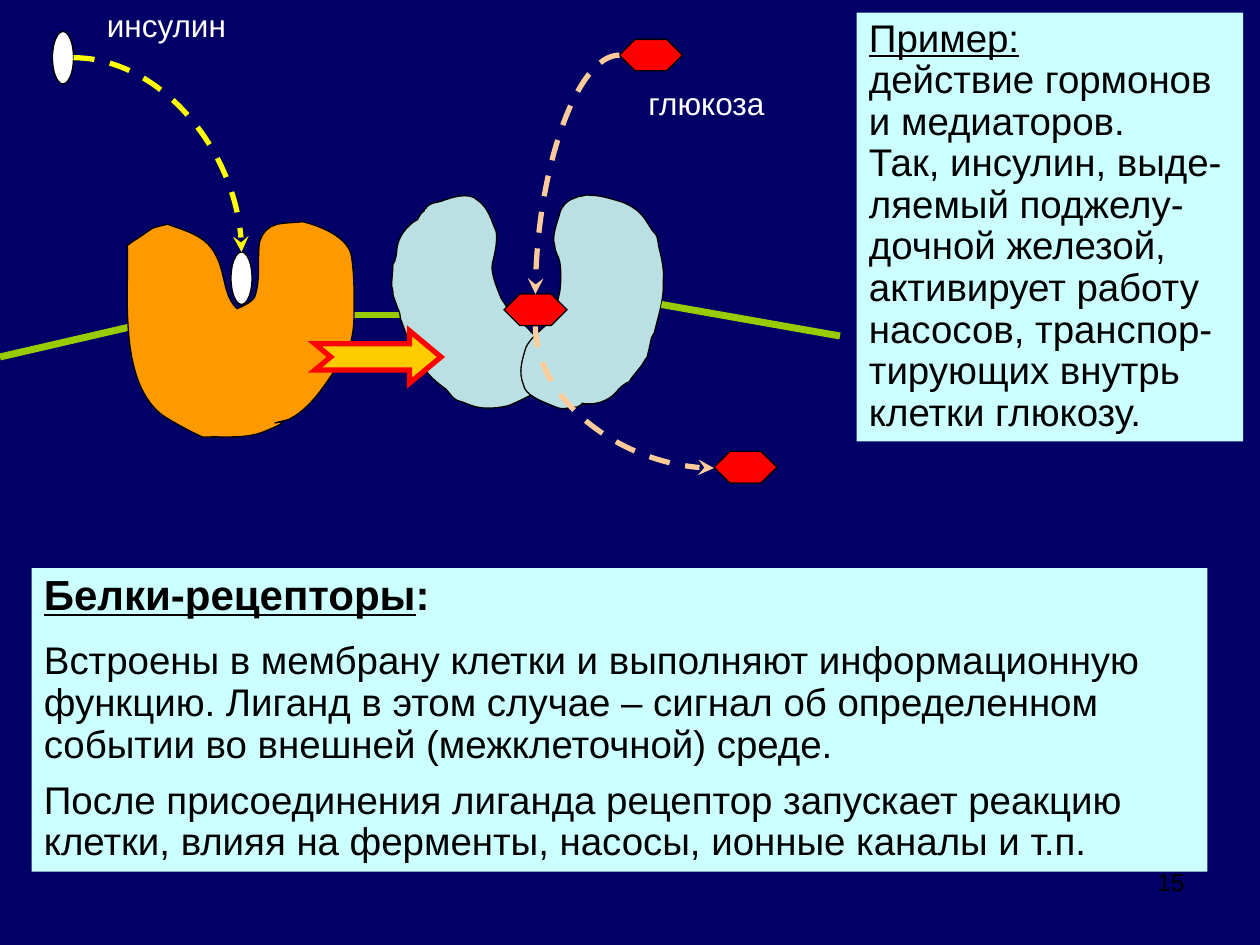
from math import cos, radians, sin

from lxml.etree import SubElement
from pptx import Presentation
from pptx.dml.color import RGBColor
from pptx.enum.dml import MSO_LINE
from pptx.enum.shapes import MSO_CONNECTOR, MSO_SHAPE
from pptx.enum.text import MSO_ANCHOR, PP_ALIGN
from pptx.oxml.ns import qn
from pptx.util import Pt

COLORS = {
    "background": "000066", "panel": "CCFFFF", "black": "000000",
    "white": "FFFFFF", "membrane": "99CC00", "receptor": "FF9900",
    "pump": "BBE0E3", "glucose": "FF0000", "signal": "FFCC00",
    "insulin_path": "FFFF00", "glucose_path": "FFCC99",
}

# Protein outlines in units of 0.72 pt: a start point,
# then one row per Bezier curve (two control points and an end point)
UNIT = Pt(0.72)
RECEPTOR = (101, 195), [
    (103, 227, 92, 305, 131, 331), (141, 337, 150, 342, 161, 347),
    (177, 346, 195, 349, 211, 342), (245, 328, 198, 341, 229, 333),
    (251, 322, 262, 297, 277, 278), (280, 264, 281, 263, 281, 243),
    (281, 230, 281, 217, 279, 204), (277, 188, 253, 179, 240, 176),
    (223, 178, 212, 175, 206, 192), (204, 207, 207, 223, 202, 236),
    (199, 241, 188, 245, 188, 245), (177, 234, 179, 218, 172, 204),
    (164, 187, 149, 184, 133, 178), (117, 182, 125, 179, 108, 190),
    (106, 191, 101, 195, 101, 195),
]
PUMP_LEFT = (332, 174), [
    (323, 179, 316, 188, 315, 198), (315, 201, 314, 208, 312, 210),
    (312, 216, 311, 221, 311, 227), (311, 229, 311, 230, 312, 232),
    (312, 233, 312, 234, 312, 234), (318, 252, 317, 245, 318, 253),
    (323, 266, 327, 280, 336, 291), (340, 298, 347, 304, 354, 309),
    (356, 311, 360, 317, 363, 318), (368, 319, 373, 322, 378, 323),
    (386, 325, 396, 324, 404, 322), (411, 319, 417, 316, 423, 313),
    (426, 311, 428, 308, 430, 307), (433, 302, 434, 301, 435, 295),
    (435, 292, 435, 290, 434, 287), (432, 282, 429, 268, 422, 264),
    (419, 260, 416, 258, 412, 255), (406, 250, 402, 243, 398, 237),
    (396, 232, 389, 217, 391, 209), (393, 201, 395, 192, 394, 184),
    (390, 175, 388, 165, 379, 159), (373, 152, 357, 157, 350, 160),
    (345, 161, 343, 161, 339, 164), (339, 165, 338, 166, 337, 166),
    (337, 167, 337, 168, 336, 168), (335, 169, 334, 170, 334, 170),
    (333, 173, 328, 177, 332, 174),
]
PUMP_RIGHT = (461, 321), [
    (471, 323, 482, 320, 489, 312), (491, 309, 496, 305, 499, 304),
    (502, 299, 506, 295, 509, 291), (510, 289, 511, 288, 512, 286),
    (512, 286, 513, 285, 513, 285), (518, 266, 515, 272, 519, 265),
    (522, 252, 527, 238, 526, 224), (527, 216, 525, 207, 523, 199),
    (522, 196, 522, 189, 520, 187), (516, 183, 514, 178, 511, 174),
    (506, 167, 497, 162, 489, 160), (482, 158, 475, 156, 468, 156),
    (465, 155, 462, 157, 459, 157), (454, 159, 452, 159, 448, 163),
    (446, 165, 445, 167, 444, 170), (443, 175, 437, 188, 440, 196),
    (440, 201, 443, 204, 444, 209), (445, 216, 445, 224, 444, 232),
    (443, 237, 440, 253, 434, 258), (428, 264, 420, 270, 417, 277),
    (414, 287, 411, 296, 415, 306), (416, 315, 431, 320, 438, 323),
    (443, 325, 445, 326, 450, 325), (451, 325, 452, 325, 453, 324),
    (453, 324, 454, 324, 454, 324), (455, 324, 458, 324, 458, 324),
    (460, 322, 466, 321, 461, 321),
]


def rgb(name):
    return RGBColor.from_string(COLORS[name])


def turn_back(points, angle, center):
    """Undo a clockwise turn about center, in tenths of a unit."""
    c, d = cos(radians(angle)), sin(radians(angle))
    cx, cy = center
    return [(10 * (cx + (x - cx) * c + (y - cy) * d),
             10 * (cy - (x - cx) * d + (y - cy) * c)) for x, y in points]


def add_text(p, text, size=22, color="black", bold=False, underline=False,
             align=PP_ALIGN.LEFT, spacing=1.0, before=0):
    p.alignment = align
    p.line_spacing = spacing
    p.space_before = Pt(before)
    r = p.add_run()
    r.text = text
    r.font.name = "Arial"
    r.font.size = Pt(size)
    r.font.bold = bold
    r.font.underline = underline
    r.font.color.rgb = rgb(color)


class SlideBuilder:
    def __init__(self, s):
        self.s = s
        s.background.fill.solid()
        s.background.fill.fore_color.rgb = rgb("background")

    def style(self, sp, fill, line="black", width=0.75):
        sp.shadow.inherit = False
        sp.fill.solid()
        sp.fill.fore_color.rgb = rgb(fill)
        if line:
            sp.line.color.rgb = rgb(line)
            sp.line.width = Pt(width)
            SubElement(sp.line._get_or_add_ln(), qn("a:miter"), lim="800000")
        else:
            sp.line.fill.background()
        return sp

    def shape(self, kind, box, fill, **line):
        sp = self.s.shapes.add_shape(kind, *map(Pt, box))
        return self.style(sp, fill, **line)

    def protein(self, outline, fill, angle=0, center=(0, 0)):
        start, curves = outline
        points = [start] + [c[i:i + 2] for c in curves for i in (0, 2, 4)]
        points = turn_back(points, angle, center)
        builder = self.s.shapes.build_freeform(*points[0], scale=UNIT / 10)
        builder.add_line_segments(points[1:], close=True)
        sp = self.style(builder.convert_to_shape(), fill)
        sp.rotation = angle
        # Join every three segments into one Bezier curve
        segments = list(sp._element.iter(qn("a:lnTo")))
        for i in range(0, len(segments), 3):
            trio = segments[i:i + 3]
            trio[0].tag = qn("a:cubicBezTo")
            for segment in trio[1:]:
                trio[0].append(segment[0])
                segment.getparent().remove(segment)

    def hexagon(self, x, y):
        sp = self.shape(MSO_SHAPE.HEXAGON, (x, y, 36, 18), "glucose")
        sp.adjustments[0] = 0.5

    def line(self, start, end, color, width=4, kind=MSO_CONNECTOR.STRAIGHT):
        sp = self.s.shapes.add_connector(kind, *map(Pt, start + end))
        sp.line.color.rgb = rgb(color)
        sp.line.width = Pt(width)
        SubElement(sp._element.spPr, qn("a:effectLst"))
        return sp

    def route(self, start, end, color, angle=0):
        """Dashed quarter curve, turned by angle about its middle."""
        sp = self.line(start, end, color, 3, MSO_CONNECTOR.CURVE)
        sp.rotation = angle
        sp._element.spPr.find(qn("a:prstGeom")).set("prst", "curvedConnector2")
        sp.line.dash_style = MSO_LINE.DASH
        SubElement(sp.line._get_or_add_ln(), qn("a:tailEnd"), type="stealth")

    def panel(self, box):
        tf = self.shape(MSO_SHAPE.RECTANGLE, box, "panel", line=None).text_frame
        tf.word_wrap = True
        tf.vertical_anchor = MSO_ANCHOR.TOP
        return tf

    def label(self, box, text, wrap=False, **fmt):
        tf = self.s.shapes.add_textbox(*map(Pt, box)).text_frame
        tf.word_wrap = wrap
        add_text(tf.paragraphs[0], text, **fmt)


def main():
    prs = Presentation()
    prs.slide_width, prs.slide_height = Pt(720), Pt(540)
    b = SlideBuilder(prs.slides.add_slide(prs.slide_layouts[6]))

    # Slide number
    b.label((516, 492, 168, 37), "15", wrap=True, size=14, align=PP_ALIGN.RIGHT)

    # Definition panel
    tf = b.panel((18, 324.6, 672, 173.5))
    p = tf.paragraphs[0]
    add_text(p, "Белки-рецепторы", size=24, bold=True, underline=True, spacing=0.9)
    add_text(p, ":", size=24, bold=True, spacing=0.9)
    for text, before in (
        ("Встроены в мембрану клетки и выполняют информационную функцию. "
         "Лиганд в этом случае – сигнал об определенном событии во внешней "
         "(межклеточной) среде.", 12.6),
        ("После присоединения лиганда рецептор запускает реакцию клетки, "
         "влияя на ферменты, насосы, ионные каналы и т.п.", 8.4),
    ):
        add_text(tf.add_paragraph(), text, spacing=0.9, before=before)

    # Insulin and its receptor in the membrane
    b.shape(MSO_SHAPE.OVAL, (30, 18, 12, 30), "white")
    b.line((78, 186), (0, 204), "membrane")
    b.line((234, 180), (198, 180), "membrane")
    b.protein(RECEPTOR, "receptor")
    b.shape(MSO_SHAPE.OVAL, (132, 144, 12, 30), "white")
    b.route((42, 33), (138, 144), "insulin_path")

    # Glucose pump
    b.protein(PUMP_LEFT, "pump", 338.2, (366.5, 244))
    b.protein(PUMP_RIGHT, "pump", 193.8, (474.5, 244))
    b.line((480, 192), (378, 174), "membrane")
    for x, y in ((354, 22.5), (288, 168), (408, 258)):
        b.hexagon(x, y)
    b.route((354, 31.5), (306, 168), "glucose_path")
    b.route((397.5, 176), (316.5, 278), "glucose_path", angle=270)

    # Activation signal
    sp = b.shape(MSO_SHAPE.NOTCHED_RIGHT_ARROW, (180, 189, 72, 30), "signal",
                 line="glucose", width=3)
    sp.adjustments[0], sp.adjustments[1] = 0.5, 0.6

    # Example panel
    tf = b.panel((489.5, 7.2, 221, 245))
    add_text(tf.paragraphs[0], "Пример:", underline=True, spacing=0.9)
    for text in (
        "действие гормонов и медиаторов.",
        "Так, инсулин, выде-ляемый поджелу-дочной железой, активирует "
        "работу насосов, транспор-тирующих внутрь клетки глюкозу.",
    ):
        add_text(tf.add_paragraph(), text, spacing=0.9)

    # Molecule labels
    b.label((363.5, 44.2, 81, 29), "глюкоза", size=18, color="white")
    b.label((54, 0, 83, 29), "инсулин", size=18, color="white")

    prs.save("out.pptx")


if __name__ == "__main__":
    main()
